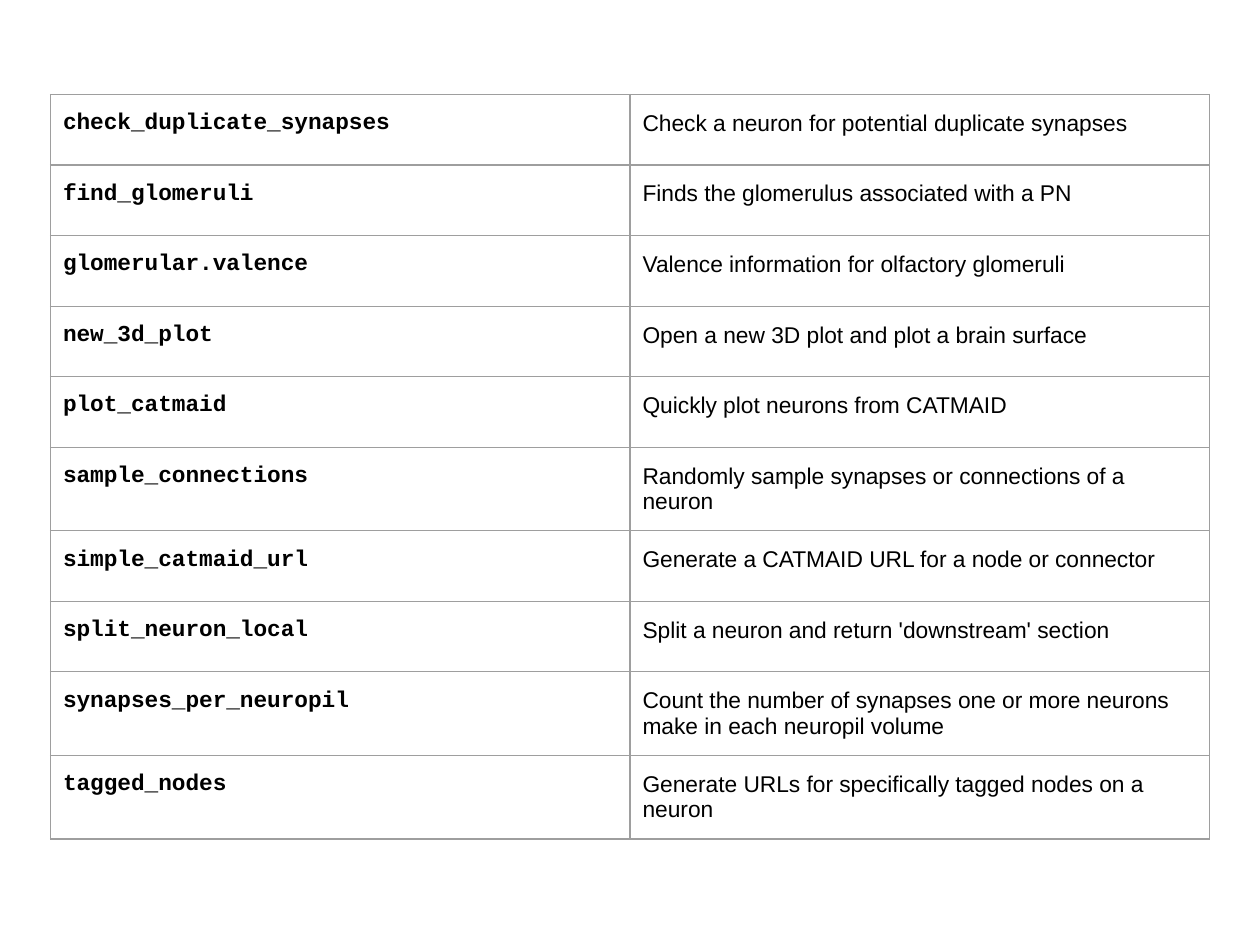
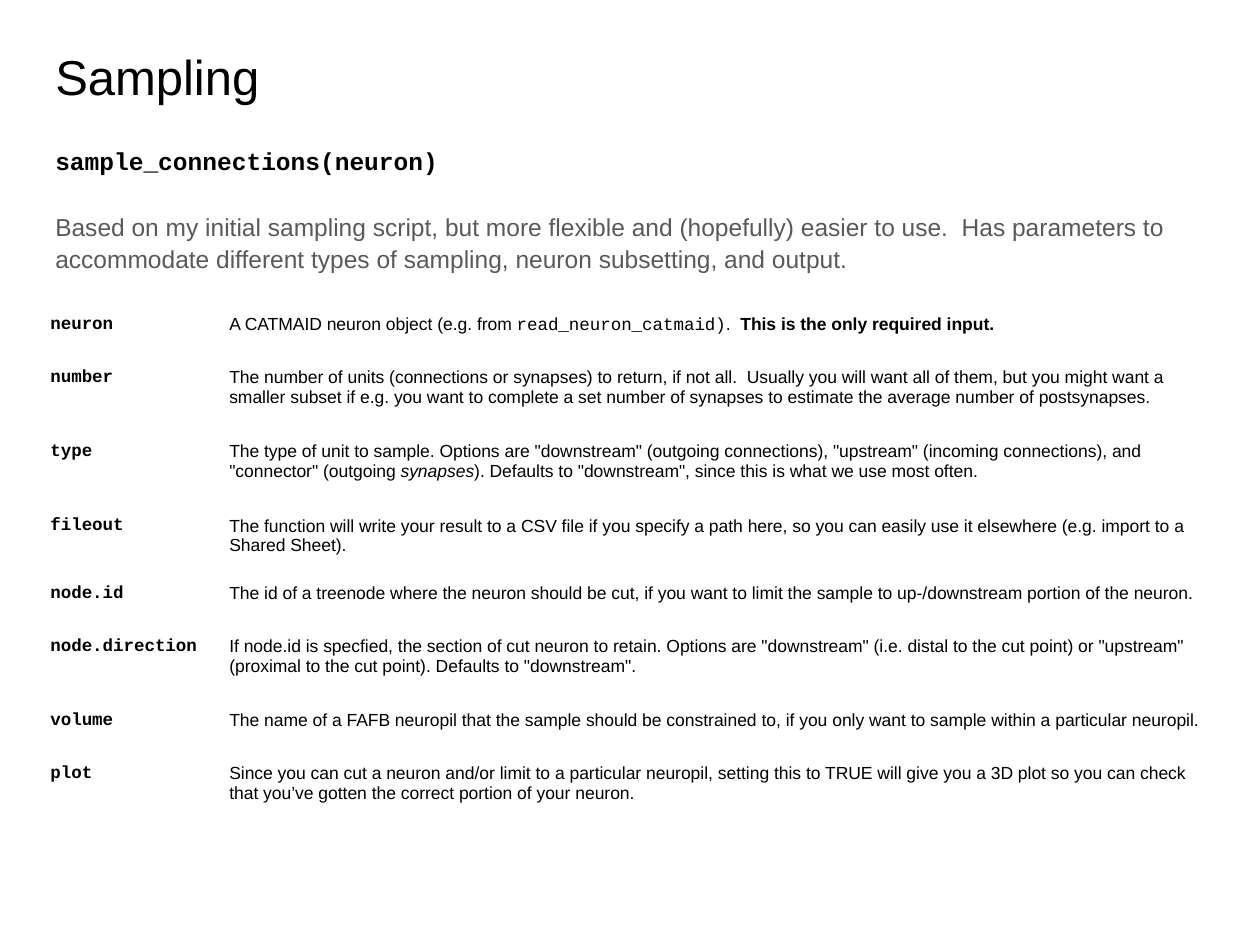
"""Build two slides: a table of neuron functions and a parameter guide for sampling."""
from dataclasses import dataclass
from typing import Optional, Sequence

from lxml import etree
from pptx import Presentation
from pptx import util as u
from pptx.dml import color
from pptx.enum import text
from pptx.oxml import ns


@dataclass(frozen=True)
class Theme:
    sans: str = "Arial"
    mono: str = "Courier New"
    ink: str = "000000"
    muted: str = "595959"
    paper: str = "FFFFFF"
    rule: str = "9E9E9E"
    rule_width: float = 0.75
    title_size: int = 28
    lead_size: int = 14
    list_size: int = 13
    detail_size: int = 10
    plain_table: str = "{2D5ABB26-0587-4C30-8999-92F81FD0307C}"


THEME = Theme()


@dataclass(frozen=True)
class Span:
    text: str
    mono: bool = False
    bold: bool = False
    italic: bool = False


@dataclass(frozen=True)
class Entry:
    name: str
    description: tuple[Span, ...]
    height: float


@dataclass(frozen=True)
class TableStyle:
    left: float
    top: float
    columns: tuple[float, float]
    size: int
    margin_y: float
    name_margin_right: float = 0.1
    space_after: int = 0
    fill: Optional[str] = None
    ruled: bool = False


@dataclass(frozen=True)
class TextBlock:
    top: float
    height: float
    size: int
    span: Span
    color: str = THEME.ink
    line_spacing: float = 1.0


def write_spans(para, spans: Sequence[Span], size: int, ink: str = THEME.ink) -> None:
    for span in spans:
        run = para.add_run()
        run.text = span.text
        font = run.font
        font.name = THEME.mono if span.mono else THEME.sans
        font.size = u.Pt(size)
        font.bold = span.bold
        font.italic = span.italic
        font.color.rgb = color.RGBColor.from_string(ink)


def set_margins(target, right: float, vertical: float) -> None:
    target.margin_left = u.Inches(0.1)
    target.margin_right = u.Inches(right)
    target.margin_top = target.margin_bottom = u.Inches(vertical)


def draw_text(page, block: TextBlock) -> None:
    box = page.shapes.add_textbox(
        u.Inches(0.34), u.Inches(block.top), u.Inches(9.32), u.Inches(block.height)
    )
    frame = box.text_frame
    frame.word_wrap = True
    frame.vertical_anchor = text.MSO_ANCHOR.TOP
    set_margins(frame, 0.1, 0.1)
    para = frame.paragraphs[0]
    para.line_spacing = block.line_spacing
    write_spans(para, [block.span], block.size, block.color)


def rule_cell(cell) -> None:
    properties = cell._tc.get_or_add_tcPr()
    for index, side in enumerate(("lnL", "lnR", "lnT", "lnB")):
        line = etree.Element(ns.qn(f"a:{side}"), w=str(u.Pt(THEME.rule_width)))
        solid = etree.SubElement(line, ns.qn("a:solidFill"))
        etree.SubElement(solid, ns.qn("a:srgbClr"), val=THEME.rule)
        properties.insert(index, line)


def fill_cell(cell, spans: Sequence[Span], style: TableStyle, right: float, after: int) -> None:
    set_margins(cell, right, style.margin_y)
    cell.vertical_anchor = text.MSO_ANCHOR.TOP
    if style.fill:
        cell.fill.solid()
        cell.fill.fore_color.rgb = color.RGBColor.from_string(style.fill)
    else:
        cell.fill.background()
    if style.ruled:
        rule_cell(cell)
    para = cell.text_frame.paragraphs[0]
    para.space_after = u.Pt(after)
    write_spans(para, spans, style.size)


def draw_table(page, entries: Sequence[Entry], style: TableStyle) -> None:
    table = page.shapes.add_table(
        len(entries), 2, u.Inches(style.left), u.Inches(style.top),
        u.Inches(sum(style.columns)), u.Inches(sum(entry.height for entry in entries)),
    ).table
    table.first_row = table.horz_banding = False
    table._tbl.tblPr.find(ns.qn("a:tableStyleId")).text = THEME.plain_table
    for column, width in zip(table.columns, style.columns):
        column.width = u.Inches(width)
    for row, entry in zip(table.rows, entries):
        row.height = u.Inches(entry.height)
        name, description = row.cells
        fill_cell(name, [Span(entry.name, mono=True, bold=True)], style,
                  style.name_margin_right, 0)
        fill_cell(description, entry.description, style, 0.1, style.space_after)


def add_page(deck):
    page = deck.slides.add_slide(deck.slide_layouts[6])
    page.background.fill.solid()
    page.background.fill.fore_color.rgb = color.RGBColor.from_string(THEME.paper)
    return page


FUNCTIONS = {
    "check_duplicate_synapses": "Check a neuron for potential duplicate synapses",
    "find_glomeruli": "Finds the glomerulus associated with a PN",
    "glomerular.valence": "Valence information for olfactory glomeruli",
    "new_3d_plot": "Open a new 3D plot and plot a brain surface",
    "plot_catmaid": "Quickly plot neurons from CATMAID",
    "sample_connections": "Randomly sample synapses or connections of a neuron",
    "simple_catmaid_url": "Generate a CATMAID URL for a node or connector",
    "split_neuron_local": "Split a neuron and return 'downstream' section",
    "synapses_per_neuropil": "Count the number of synapses one or more neurons make "
                             "in each neuropil volume",
    "tagged_nodes": "Generate URLs for specifically tagged nodes on a neuron",
}

SHORT, TALL = 0.42, 0.59

PARAMETERS = [
    Entry("neuron", (
        Span("A CATMAID neuron object (e.g. from "),
        Span("read_neuron_catmaid)", mono=True),
        Span(".  "),
        Span("This is the only required input.", bold=True),
    ), SHORT),
    Entry("number", (Span(
        "The number of units (connections or synapses) to return, if not all.  Usually you "
        "will want all of them, but you might want a smaller subset if e.g. you want to "
        "complete a set number of synapses to estimate the average number of postsynapses."
    ),), TALL),
    Entry("type", (
        Span('The type of unit to sample. Options are "downstream" (outgoing connections), '
             '"upstream" (incoming connections), and "connector" (outgoing '),
        Span("synapses", italic=True),
        Span('). Defaults to "downstream", since this is what we use most often.'),
    ), TALL),
    Entry("fileout", (Span(
        "The function will write your result to a CSV file if you specify a path here, so "
        "you can easily use it elsewhere (e.g. import to a Shared Sheet)."
    ),), SHORT),
    Entry("node.id", (Span(
        "The id of a treenode where the neuron should be cut, if you want to limit the "
        "sample to up-/downstream portion of the neuron."
    ),), SHORT),
    Entry("node.direction", (Span(
        "If node.id is specfied, the section of cut neuron to retain. Options are "
        '"downstream" (i.e. distal to the cut point) or "upstream" (proximal to the cut '
        'point). Defaults to "downstream".'
    ),), TALL),
    Entry("volume", (Span(
        "The name of a FAFB neuropil that the sample should be constrained to, if you only "
        "want to sample within a particular neuropil."
    ),), SHORT),
    Entry("plot", (Span(
        "Since you can cut a neuron and/or limit to a particular neuropil, setting this to "
        "TRUE will give you a 3D plot so you can check that you’ve gotten the correct "
        "portion of your neuron."
    ),), TALL),
]

SAMPLING_TEXT = [
    TextBlock(0.22, 0.83, THEME.title_size, Span("Sampling"), line_spacing=1.1),
    TextBlock(1.57, 0.71, THEME.lead_size, Span(
        "Based on my initial sampling script, but more flexible and (hopefully) easier to "
        "use.  Has parameters to accommodate different types of sampling, neuron "
        "subsetting, and output."
    ), THEME.muted, 1.07),
    TextBlock(1.06, 0.44, THEME.lead_size,
              Span("sample_connections(neuron)", mono=True, bold=True)),
]


def build_function_page(deck) -> None:
    entries = [Entry(name, (Span(summary),), 0.56) for name, summary in FUNCTIONS.items()]
    style = TableStyle(0.4, 0.75, (4.6, 4.6), THEME.list_size, 0.13, ruled=True)
    draw_table(add_page(deck), entries, style)


def build_sampling_page(deck) -> None:
    page = add_page(deck)
    for block in SAMPLING_TEXT:
        draw_text(page, block)
    style = TableStyle(0.3, 2.4, (1.42, 7.97), THEME.detail_size, 0.1,
                       name_margin_right=0.12, space_after=5, fill=THEME.paper)
    draw_table(page, PARAMETERS, style)


def main() -> None:
    deck = Presentation()
    deck.slide_width, deck.slide_height = u.Inches(10), u.Inches(7.5)
    build_function_page(deck)
    build_sampling_page(deck)
    deck.save("out.pptx")


main()
